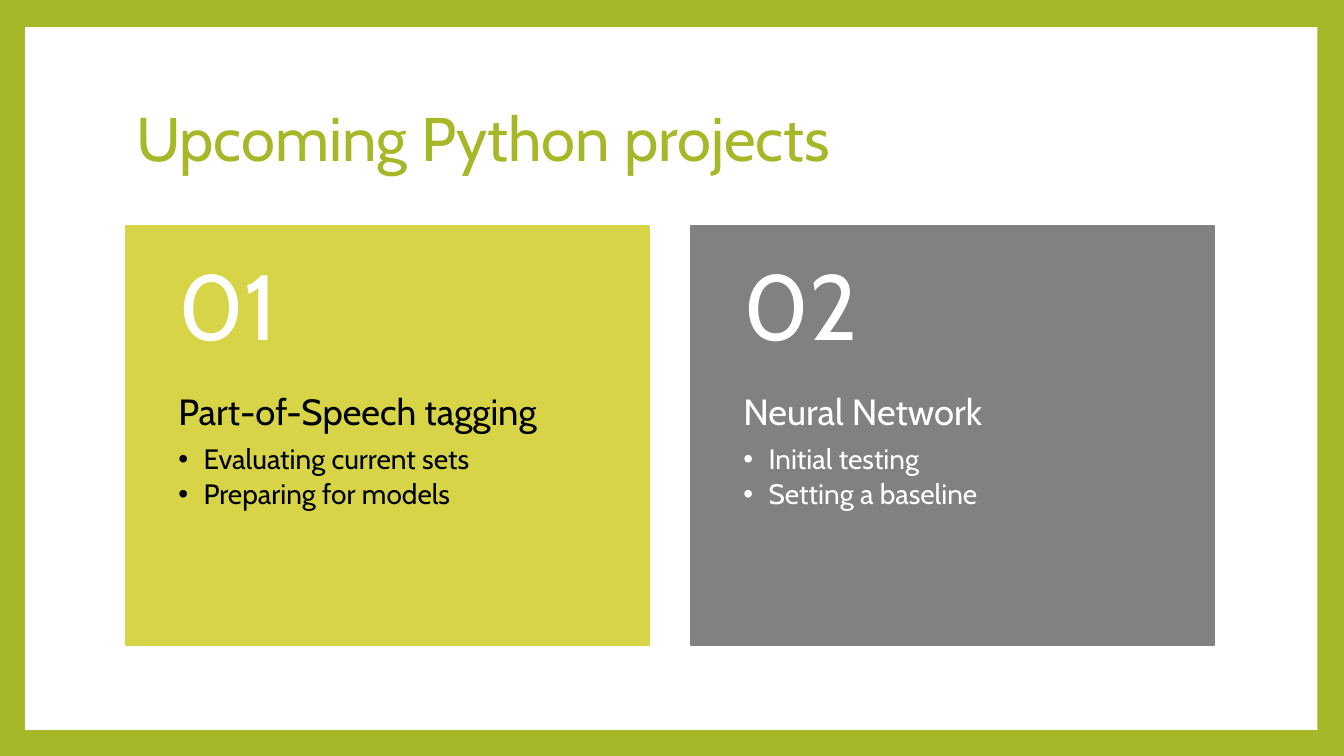
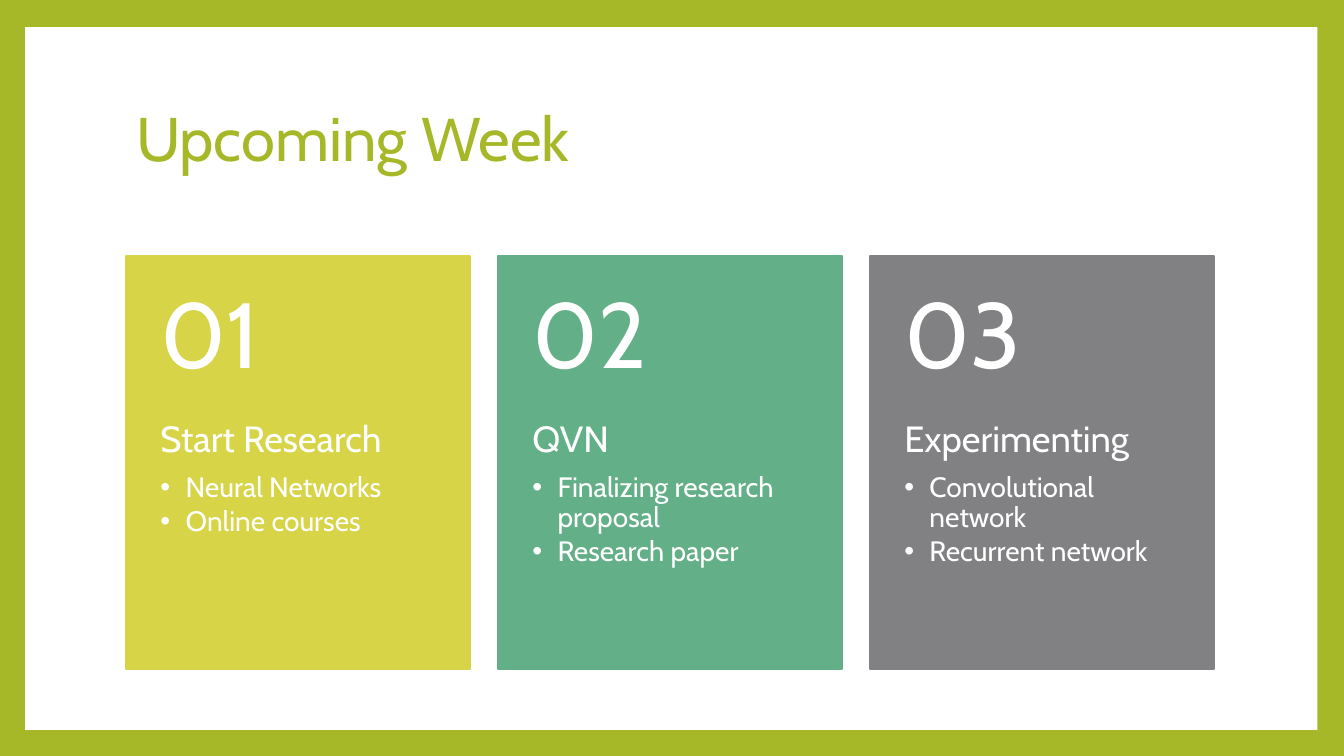
from dataclasses import dataclass

from lxml.etree import SubElement
from pptx import Presentation
from pptx.dml.color import RGBColor
from pptx.enum.shapes import MSO_SHAPE
from pptx.enum.text import MSO_ANCHOR, MSO_AUTO_SIZE, PP_ALIGN
from pptx.oxml.ns import qn
from pptx.util import Pt


@dataclass(frozen=True)
class Theme:
    """Colours, font and type sizes shared by all slides."""
    green: str = "A6B727"
    yellow: str = "D7D447"
    teal: str = "62AF88"
    grey: str = "818183"
    white: str = "FFFFFF"
    black: str = "000000"
    font: str = "Cabin"
    title_size: int = 44
    number_size: int = 66
    heading_size: int = 26
    bullet_size: int = 20


THEME = Theme()

# Each card: heading, bullets, fill, text colour
SLIDES = [
    {
        "title": "Upcoming Python projects",
        "top": 161.7,
        "aspect": 0.8,
        "cards": [
            ("Part-of-Speech tagging",
             ["Evaluating current sets", "Preparing for models"],
             THEME.yellow, THEME.black),
            ("Neural Network", ["Initial testing", "Setting a baseline"],
             THEME.grey, THEME.white),
        ],
    },
    {
        "title": "Upcoming Week",
        "top": 182.7,
        "aspect": 1.2,
        "cards": [
            ("Start Research", ["Neural Networks", "Online courses"],
             THEME.yellow, THEME.white),
            ("QVN", ["Finalizing research proposal", "Research paper"],
             THEME.teal, THEME.white),
            ("Experimenting", ["Convolutional network", "Recurrent network"],
             THEME.grey, THEME.white),
        ],
    },
]

SLIDE_SIZE = (960, 540)
PANEL = (18, 19.4, 923, 502)
TITLE = (90, 48, 777.6, 106)
CARDS_LEFT, CARDS_WIDTH = 90, 777.3
GAP_SHARE, INSET_SHARE, NUMBER_SHARE = 0.08, 0.1, 0.4
NUMBER_PAD, LIST_PAD, BULLET_INDENT = 13, 26, 18
HEADING_GAP, BULLET_GAP = 9, 3
COMPARISON_LAYOUT = 4


def place(shape, box):
    """Move and size a shape to a box in points."""
    shape.left, shape.top, shape.width, shape.height = map(Pt, box)


def add_block(slide, box, colour):
    """Add a flat rectangle behind everything else on the slide."""
    block = slide.shapes.add_shape(MSO_SHAPE.RECTANGLE, *map(Pt, box))
    block.shadow.inherit = False
    block.fill.solid()
    block.fill.fore_color.rgb = RGBColor.from_string(colour)
    block.line.color.rgb = RGBColor.from_string(colour)
    block.line.width = Pt(1.5)
    slide.shapes.element.insert(2, block.element)
    return block


def set_frame(frame, anchor, insets):
    """Set wrapping, anchor and left, top, right, bottom insets."""
    frame.word_wrap = True
    frame.auto_size = MSO_AUTO_SIZE.NONE
    frame.vertical_anchor = anchor
    (frame.margin_left, frame.margin_top,
     frame.margin_right, frame.margin_bottom) = map(Pt, insets)


def style(paragraph, size, colour, gap=0):
    """Give a paragraph its spacing and its runs their font."""
    paragraph.alignment = PP_ALIGN.LEFT
    paragraph.line_spacing = 0.9
    paragraph.space_before = Pt(0)
    paragraph.space_after = Pt(gap)
    for run in paragraph.runs:
        run.font.name = THEME.font
        run.font.size = Pt(size)
        run.font.bold = False
        run.font.color.rgb = RGBColor.from_string(colour)


def set_bullet(paragraph, char=None):
    """Give a paragraph a hanging bullet, or none."""
    properties = paragraph._p.get_or_add_pPr()
    indent = Pt(BULLET_INDENT) if char else 0
    properties.set("marL", str(indent))
    properties.set("indent", str(-indent))
    if char:
        SubElement(properties, qn("a:buChar")).set("char", char)
    else:
        SubElement(properties, qn("a:buNone"))


def set_title(slide, title):
    """Fill and format the title placeholder."""
    holder = slide.shapes.title
    place(holder, TITLE)
    frame = holder.text_frame
    frame.text = title
    set_frame(frame, MSO_ANCHOR.MIDDLE, (7.2, 3.6, 7.2, 3.6))
    style(frame.paragraphs[0], THEME.title_size, THEME.green)


def add_number(slide, number, box, inset):
    """Add the large two-digit number at the head of a card."""
    frame = slide.shapes.add_textbox(*map(Pt, box)).text_frame
    frame.text = f"{number:02d}"
    set_frame(frame, MSO_ANCHOR.MIDDLE,
              (inset, NUMBER_PAD, inset, NUMBER_PAD))
    style(frame.paragraphs[0], THEME.number_size, THEME.white)


def fill_list(holder, heading, bullets, colour, box, inset):
    """Fill a body placeholder with a heading and its bullets."""
    place(holder, box)
    frame = holder.text_frame
    frame.text = "\n".join([heading, *bullets])
    set_frame(frame, MSO_ANCHOR.TOP, (inset, 0, inset, LIST_PAD))
    first, *rest = frame.paragraphs
    style(first, THEME.heading_size, colour, HEADING_GAP)
    set_bullet(first)
    for paragraph in rest:
        paragraph.level = 1
        style(paragraph, THEME.bullet_size, colour, BULLET_GAP)
        set_bullet(paragraph, "•")


def add_cards(slide, cards, top, aspect):
    """Spread numbered cards evenly over the content width."""
    count = len(cards)
    width = CARDS_WIDTH / (count + GAP_SHARE * (count - 1))
    height, inset = width * aspect, width * INSET_SHARE
    number_height = height * NUMBER_SHARE
    bodies = [holder for holder in slide.placeholders
              if holder.placeholder_format.idx in range(1, 5)]
    for index, (heading, bullets, fill, colour) in enumerate(cards):
        left = CARDS_LEFT + index * width * (1 + GAP_SHARE)
        add_block(slide, (left, top, width, height), fill)
        add_number(slide, index + 1, (left, top, width, number_height), inset)
        list_box = (left, top + number_height, width, height - number_height)
        fill_list(bodies[index], heading, bullets, colour, list_box, inset)
    for spare in bodies[count:]:
        spare.element.getparent().remove(spare.element)


def set_master(deck, slide):
    """Put the green border and the white panel on the slide master."""
    master = deck.slide_master
    master.background.fill.solid()
    master.background.fill.fore_color.rgb = RGBColor.from_string(THEME.green)
    panel = add_block(slide, PANEL, THEME.white)
    panel.line.fill.background()
    master.shapes.element.insert(2, panel.element)


def build():
    """Build the deck and save it."""
    deck = Presentation()
    deck.slide_width, deck.slide_height = map(Pt, SLIDE_SIZE)
    for content in SLIDES:
        slide = deck.slides.add_slide(deck.slide_layouts[COMPARISON_LAYOUT])
        set_title(slide, content["title"])
        add_cards(slide, content["cards"], content["top"], content["aspect"])
    set_master(deck, deck.slides[0])
    deck.save("out.pptx")


build()
